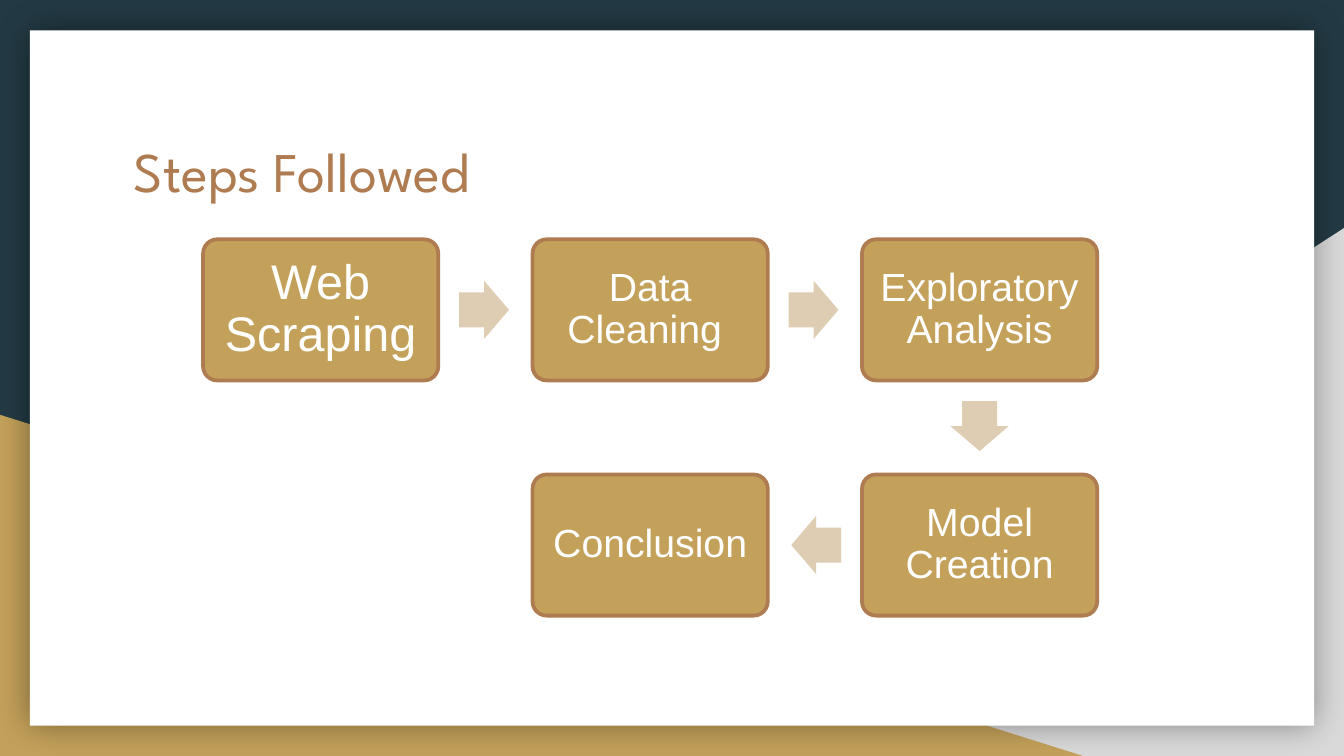
from dataclasses import dataclass

from lxml.etree import SubElement
from pptx import Presentation
from pptx.dml.color import RGBColor
from pptx.enum.shapes import MSO_SHAPE
from pptx.enum.text import MSO_ANCHOR, MSO_AUTO_SIZE, PP_ALIGN
from pptx.oxml.ns import qn
from pptx.util import Pt


@dataclass(frozen=True)
class Theme:
    navy: str = "233A44"
    gray: str = "D9D9D9"
    gold: str = "C4A15A"
    brown: str = "AF7B51"
    sand: str = "DECDB3"
    white: str = "FFFFFF"
    shadow: str = "000000"
    title_font: str = "League Spartan"
    body_font: str = "Arial"
    title_size: float = 30
    first_step_size: float = 26
    step_size: float = 21


def color(value):
    return RGBColor.from_string(value)


def write_text(shape, text, *, font, size, fill, inset, align=PP_ALIGN.LEFT,
               anchor=MSO_ANCHOR.TOP, line_spacing=1.0):
    frame = shape.text_frame
    frame.word_wrap = True
    frame.auto_size = MSO_AUTO_SIZE.NONE
    frame.vertical_anchor = anchor
    frame.margin_left = frame.margin_right = Pt(inset)
    frame.margin_top = frame.margin_bottom = Pt(inset)
    paragraph = frame.paragraphs[0]
    paragraph.alignment = align
    paragraph.line_spacing = line_spacing
    run = paragraph.add_run()
    run.text = text
    run.font.name = font
    run.font.size = Pt(size)
    run.font.color.rgb = color(fill)


class SlideBuilder:
    def __init__(self, slide, theme):
        self.slide = slide
        self.theme = theme

    def background(self, fill):
        self.slide.background.fill.solid()
        self.slide.background.fill.fore_color.rgb = color(fill)

    def shape(self, kind, left, top, width, height, fill):
        shape = self.slide.shapes.add_shape(
            kind, Pt(left), Pt(top), Pt(width), Pt(height))
        shape.shadow.inherit = False
        shape.fill.solid()
        shape.fill.fore_color.rgb = color(fill)
        shape.line.fill.background()
        return shape

    def corner(self, left, top, width, height, fill, flip=False):
        triangle = self.shape(MSO_SHAPE.RIGHT_TRIANGLE, left, top, width, height, fill)
        if flip:
            triangle._element.spPr.xfrm.set("flipH", "1")

    def panel(self, left, top, width, height):
        panel = self.shape(MSO_SHAPE.RECTANGLE, left, top, width, height, self.theme.white)
        # Soft shadow on all sides
        effects = panel._element.spPr.find(qn("a:effectLst"))
        shadow = SubElement(effects, qn("a:outerShdw"), blurRad=str(Pt(18)),
                            dist="0", dir="0", algn="ctr", rotWithShape="0")
        shade = SubElement(shadow, qn("a:srgbClr"), val=self.theme.shadow)
        SubElement(shade, qn("a:alpha"), val="40000")

    def title(self, text, left, top, width, height):
        title = self.slide.shapes.title
        title.left, title.top = Pt(left), Pt(top)
        title.width, title.height = Pt(width), Pt(height)
        write_text(title, text, font=self.theme.title_font, size=self.theme.title_size,
                   fill=self.theme.brown, inset=7.2)
        # Bring the title in front of the panel
        self.slide.shapes._spTree.append(title._element)

    def step(self, text, left, top, width, height, size):
        card = self.shape(MSO_SHAPE.ROUNDED_RECTANGLE, left, top, width, height,
                          self.theme.gold)
        card.adjustments[0] = 0.1
        card.line.color.rgb = color(self.theme.brown)
        card.line.width = Pt(2)
        write_text(card, text, font=self.theme.body_font, size=size,
                   fill=self.theme.white, inset=0.3 * size, align=PP_ALIGN.CENTER,
                   anchor=MSO_ANCHOR.MIDDLE, line_spacing=0.9)

    def arrow(self, center_x, center_y, rotation):
        width, height = 26.7, 31.2
        arrow = self.shape(MSO_SHAPE.RIGHT_ARROW, center_x - width / 2,
                           center_y - height / 2, width, height, self.theme.sand)
        arrow.adjustments[0] = 0.6
        arrow.adjustments[1] = 0.5
        arrow.rotation = rotation


# Steps in order, each with its column and row
STEPS = [
    ("Web Scraping ", 0, 0),
    ("Data Cleaning ", 1, 0),
    ("Exploratory Analysis", 2, 0),
    ("Model Creation", 2, 1),
    ("Conclusion", 1, 1),
]
ROTATIONS = {(1, 0): 0, (0, 1): 90, (-1, 0): 180}
GRID_LEFT, GRID_TOP = 108.8, 128.2
COLUMN_PITCH, ROW_PITCH = 176.5, 126
CARD_WIDTH, CARD_HEIGHT = 126, 75.6
ARROW_SETBACK = 0.7


def add_flow(builder):
    theme = builder.theme
    previous = None
    for text, column, row in STEPS:
        left = GRID_LEFT + column * COLUMN_PITCH
        top = GRID_TOP + row * ROW_PITCH
        # Arrow midway from the previous card, set slightly back
        if previous:
            step_x, step_y = column - previous[0], row - previous[1]
            center_x = left + CARD_WIDTH / 2 - step_x * (COLUMN_PITCH / 2 + ARROW_SETBACK)
            center_y = top + CARD_HEIGHT / 2 - step_y * (ROW_PITCH / 2 + ARROW_SETBACK)
            builder.arrow(center_x, center_y, ROTATIONS[step_x, step_y])
        size = theme.step_size if previous else theme.first_step_size
        builder.step(text, left, top, CARD_WIDTH, CARD_HEIGHT, size)
        previous = column, row


def main():
    presentation = Presentation()
    presentation.slide_width, presentation.slide_height = Pt(720), Pt(405)
    slide = presentation.slides.add_slide(presentation.slide_layouts[5])
    theme = Theme()
    builder = SlideBuilder(slide, theme)

    # Backdrop
    builder.background(theme.navy)
    builder.corner(282.2, 122.2, 437.8, 282.8, theme.gray, flip=True)
    builder.corner(0, 222.2, 580.3, 182.8, theme.gold)
    builder.panel(16, 16.2, 688, 372.5)

    # Content
    builder.title("Steps Followed", 64.5, 66.2, 591, 75)
    add_flow(builder)
    presentation.save("out.pptx")


if __name__ == "__main__":
    main()
